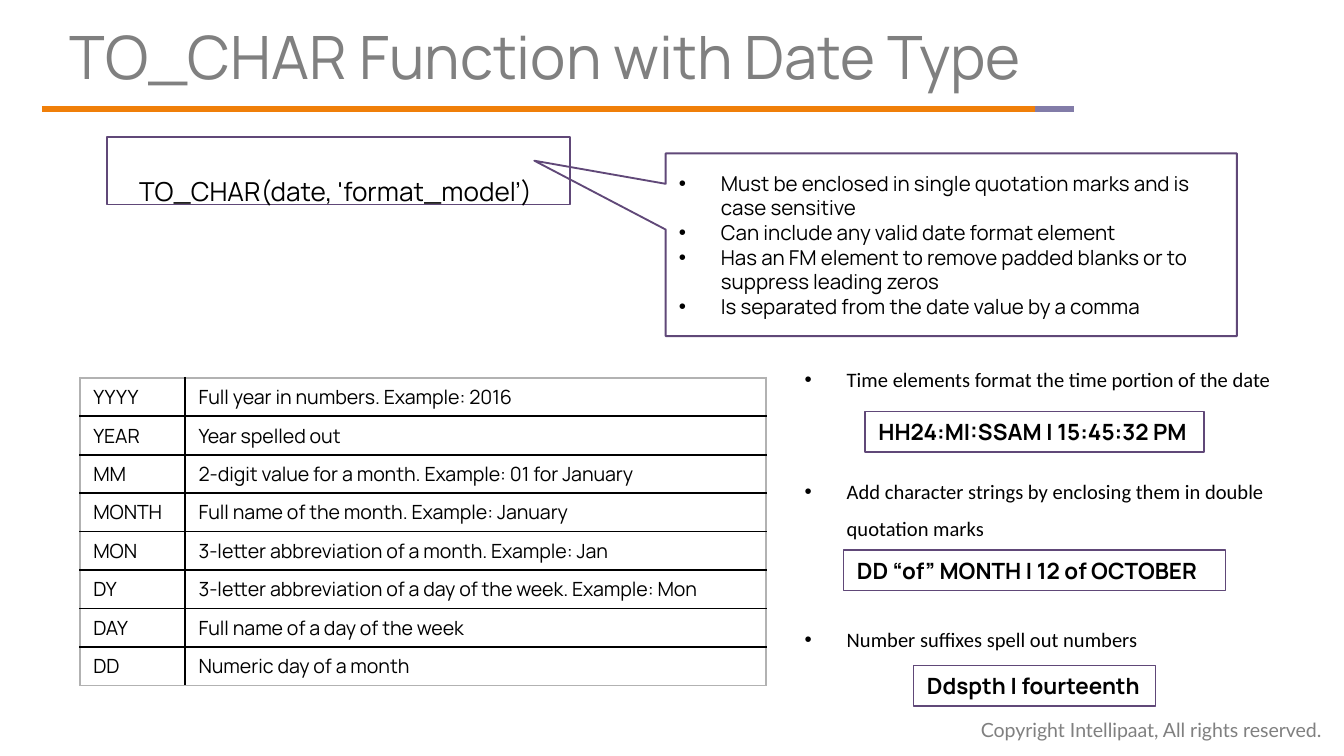
import pptx
import pptx.dml.color
import pptx.enum.shapes
import pptx.enum.text
import pptx.oxml
import pptx.util

Pt = pptx.util.Pt
Anchor = pptx.enum.text.MSO_ANCHOR
Align = pptx.enum.text.PP_ALIGN
Shape = pptx.enum.shapes.MSO_SHAPE
NS = 'xmlns:a="http://schemas.openxmlformats.org/drawingml/2006/main"'

FORMATS = [
    ("YYYY", "Full year in numbers. Example: 2016"),
    ("YEAR", "Year spelled out"),
    ("MM", "2-digit value for a month. Example: 01 for January"),
    ("MONTH", "Full name of the month. Example: January"),
    ("MON", "3-letter abbreviation of a month. Example: Jan"),
    ("DY", "3-letter abbreviation of a day of the week. Example: Mon"),
    ("DAY", "Full name of a day of the week"),
    ("DD", "Numeric day of a month"),
]
RULES = [
    "Must be enclosed in single quotation marks and is case sensitive",
    "Can include any valid date format element",
    "Has an FM element to remove padded blanks or to suppress leading zeros",
    "Is separated from the date value by a comma",
]
USES = [
    "Time elements format the time portion of the date",
    "Add character strings by enclosing them in double quotation marks",
    "Number suffixes spell out numbers",
]
EXAMPLES = [
    ("HH24:MI:SSAM | 15:45:32 PM", (463.5, 220.3, 181.5, 21.8)),
    ("DD “of” MONTH | 12 of OCTOBER", (452, 294.7, 204.5, 21.8)),
    ("Ddspth | fourteenth", (489.5, 356.5, 129.6, 21.8)),
]


def color(hex_code):
    return pptx.dml.color.RGBColor.from_string(hex_code)


class SlideBuilder:
    font = "Manrope"
    ink = "000000"
    gray = "808080"
    outline = "604878"
    table_edge = "B2B2B2"

    def __init__(self, slide):
        self.slide = slide

    def add_lines(self, frame, lines, size, font=None, ink=None, bold=False,
                  bullets=False, spacing=None, gap=0, align=Align.LEFT):
        """Fill a text frame with one paragraph per line; gap separates them."""
        for index, line in enumerate(lines):
            paragraph = frame.paragraphs[0] if index == 0 else frame.add_paragraph()
            paragraph.alignment = align
            if spacing:
                paragraph.line_spacing = spacing
            if index and gap:
                paragraph.space_before = Pt(gap)
            if bullets:
                self.bullet(paragraph)
            run = paragraph.add_run()
            run.text = line
            run.font.name = font or self.font
            run.font.size = Pt(size)
            run.font.bold = bold
            run.font.color.rgb = color(ink or self.ink)

    def bullet(self, paragraph):
        properties = paragraph._p.get_or_add_pPr()
        properties.set("marL", str(Pt(22.5)))
        properties.set("indent", str(-Pt(22.5)))
        for xml in (f'<a:buFont {NS} typeface="Arial"/>', f'<a:buChar {NS} char="•"/>'):
            properties.append(pptx.oxml.parse_xml(xml))

    def text(self, box, lines, size, wrap=True, left_inset=7.2, **style):
        frame = self.slide.shapes.add_textbox(*map(Pt, box)).text_frame
        frame.word_wrap = wrap
        frame.margin_left = Pt(left_inset)
        self.add_lines(frame, lines, size, **style)

    def outlined(self, kind, box, lines, size, fill=None, weight=0.75,
                 anchor=Anchor.TOP, **style):
        shape = self.slide.shapes.add_shape(kind, *map(Pt, box))
        shape.shadow.inherit = False
        if fill:
            shape.fill.solid()
            shape.fill.fore_color.rgb = color(fill)
        else:
            shape.fill.background()
        shape.line.color.rgb = color(self.outline)
        shape.line.width = Pt(weight)
        shape.text_frame.word_wrap = True
        shape.text_frame.vertical_anchor = anchor
        self.add_lines(shape.text_frame, lines, size, **style)
        return shape

    def rule(self, start, end, top, hex_code):
        line = self.slide.shapes.add_connector(
            pptx.enum.shapes.MSO_CONNECTOR.STRAIGHT, Pt(start), Pt(top), Pt(end), Pt(top))
        line.line.color.rgb = color(hex_code)
        line.line.width = Pt(3)
        line._element.spPr.append(pptx.oxml.parse_xml(f"<a:effectLst {NS}/>"))

    def table(self, left, top, widths, row_height, rows, size):
        table = self.slide.shapes.add_table(
            len(rows), len(widths), Pt(left), Pt(top),
            Pt(sum(widths)), Pt(row_height * len(rows))).table
        table.first_row = table.horz_banding = False
        for column, width in zip(table.columns, widths):
            column.width = Pt(width)
        for r, row in enumerate(rows):
            table.rows[r].height = Pt(row_height)
            for c, entry in enumerate(row):
                cell = table.cell(r, c)
                cell.margin_top = cell.margin_bottom = Pt(3)
                cell.vertical_anchor = Anchor.MIDDLE
                self.add_lines(cell.text_frame, [entry], size)
                self.borders(cell, {"L": c == 0, "R": c == len(widths) - 1,
                                    "T": r == 0, "B": r == len(rows) - 1})
                cell.fill.background()

    def borders(self, cell, outer_sides):
        """Draw gray borders on the outer sides and black ones inside."""
        properties = cell._tc.get_or_add_tcPr()
        for side, outer in outer_sides.items():
            hex_code = self.table_edge if outer else self.ink
            properties.append(pptx.oxml.parse_xml(
                f'<a:ln{side} {NS} w="{Pt(1)}"><a:solidFill>'
                f'<a:srgbClr val="{hex_code}"/></a:solidFill></a:ln{side}>'))


def main():
    deck = pptx.Presentation()
    deck.slide_width, deck.slide_height = Pt(720), Pt(405)
    page = SlideBuilder(deck.slides.add_slide(deck.slide_layouts[6]))

    page.text((518.4, 380.9, 203.8, 20.2), ["Copyright Intellipaat, All rights reserved."],
              10.5, wrap=False, font="Lato", ink=page.gray)
    page.rule(22.5, 554.6, 58.3, "F07F09")
    page.rule(554.6, 575.3, 58.3, "827CA8")
    page.text((37.4, 11.5, 573, 45.4), ["TO_CHAR Function with Date Type"], 32,
              left_inset=0, ink=page.gray, spacing=0.9)

    page.outlined(Shape.RECTANGLE, (57.3, 73.5, 248, 36),
                  ["TO_CHAR(date, 'format_model’) "], 14, spacing=2.0, align=Align.CENTER)
    callout = page.outlined(Shape.RECTANGULAR_CALLOUT, (356.6, 82.2, 306, 97.9), RULES, 11,
                            weight=1, anchor=Anchor.MIDDLE, bullets=True)
    callout.adjustments[0] = -0.73
    callout.adjustments[1] = -0.46

    page.table(42.8, 202.4, (56.4, 311.3), 20.63, FORMATS, 10.5)

    page.text((424, 186.5, 281.5, 164.9), USES, 11, font="Calibri",
              bullets=True, spacing=1.5, gap=40)
    for example, box in EXAMPLES:
        page.outlined(Shape.RECTANGLE, box, [example], 12, fill="FFFFFF", bold=True)

    deck.save("out.pptx")


if __name__ == "__main__":
    main()
